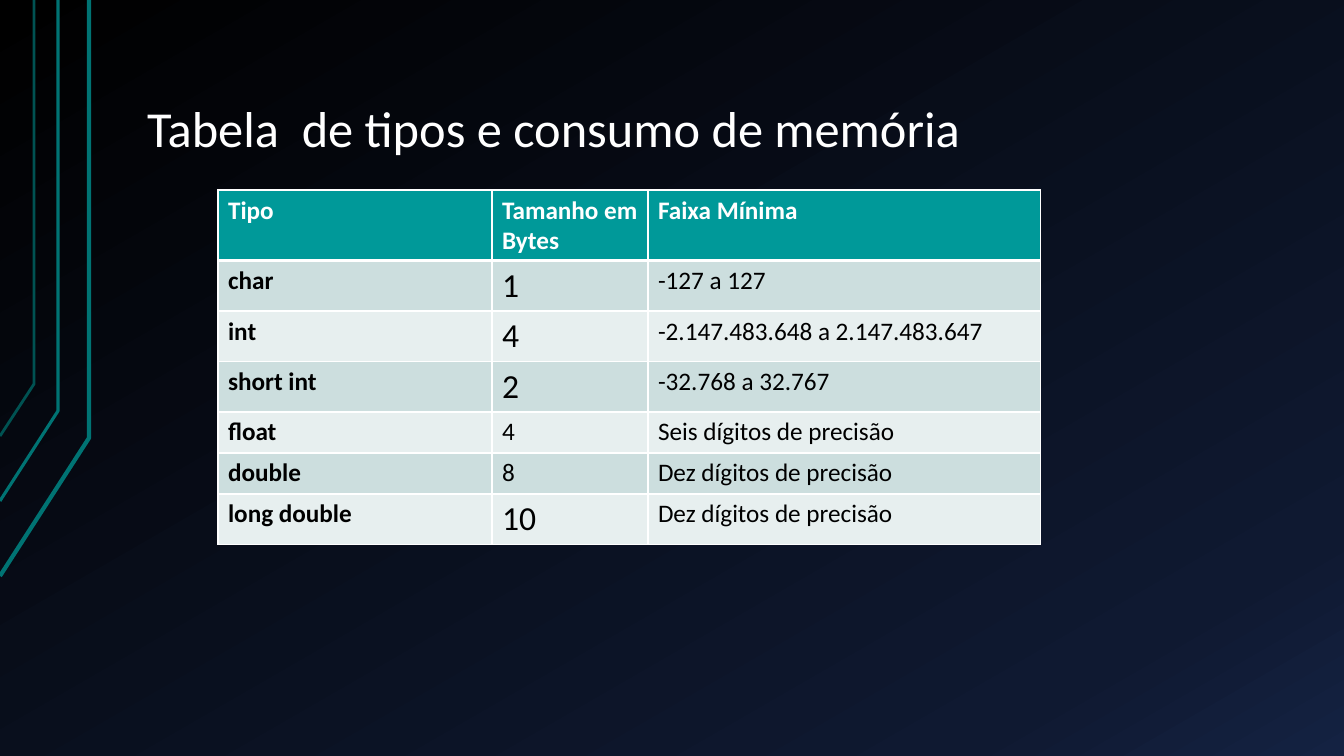
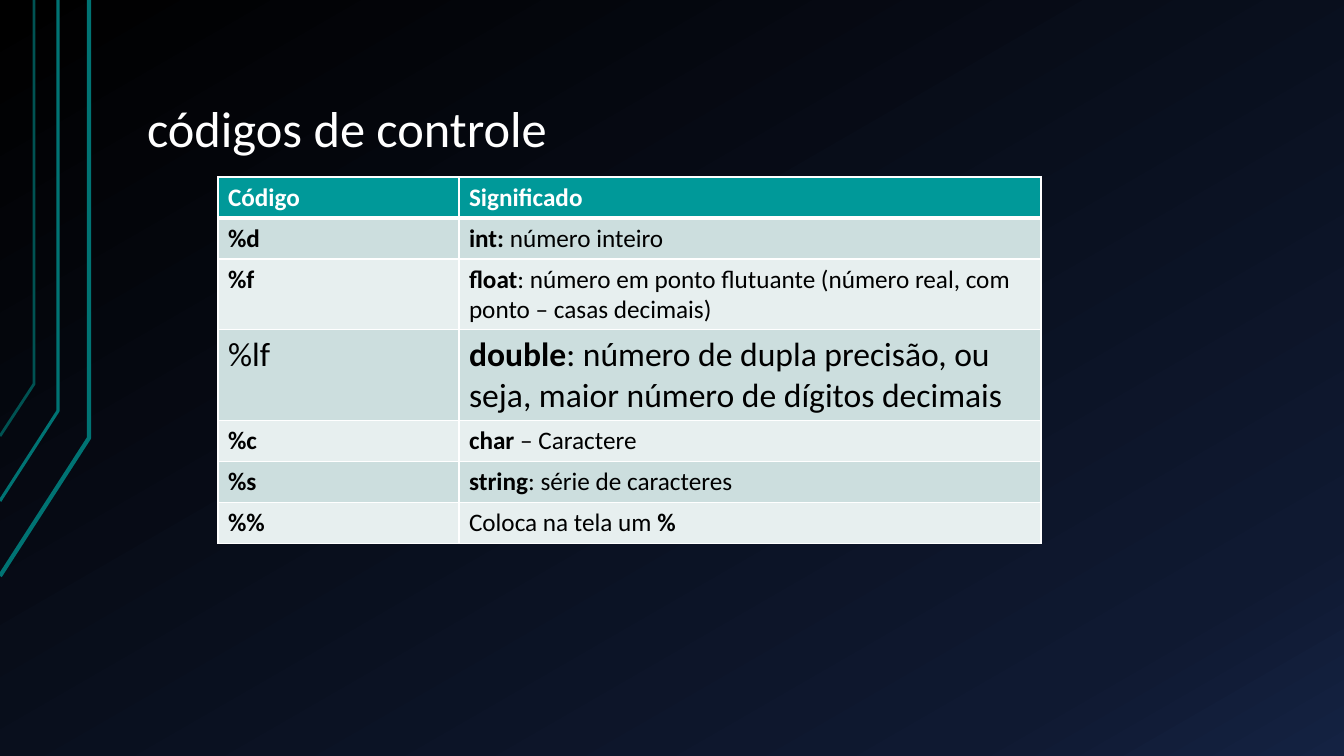
from lxml import etree
from pptx import Presentation
from pptx import util as u
from pptx.dml.color import RGBColor
from pptx.enum import text
from pptx.oxml import ns

SCALE = 12192000 / 1344
FONT = "Calibri"
WHITE, BLACK, TEAL = "FFFFFF", "000000", "009999"
BANDS = ("CCDEDE", "E7EFEF")
BACKGROUND = ((0, "000000"), (85, "0F1931"), (100, "142242"))
RAILS = (
    (89, 438, 576, 3, "007373"),
    (58, 411, 501, 2.25, "007373"),
    (34, 384, 436, 2, "005252"),
)


def px(length):
    return u.Emu(round(length * SCALE))


def color(value):
    return RGBColor.from_string(value)


def add_xml(parent, tag, **attributes):
    return etree.SubElement(parent, ns.qn(tag), attributes)


class Slides:
    def __init__(self):
        self.deck = Presentation()
        self.deck.slide_width, self.deck.slide_height = px(1344), px(756)
        self.page = None
        self.set_background()

    def set_background(self):
        master = self.deck.slide_master
        fill = master.background.fill
        fill.gradient()
        fill.gradient_angle = 300
        stops = master.element.find(".//" + ns.qn("a:gsLst"))
        for stop in list(stops):
            stops.remove(stop)
        for percent, value in BACKGROUND:
            stop = add_xml(stops, "a:gs", pos=str(percent * 1000))
            add_xml(stop, "a:srgbClr", val=value)

    def add_page(self, title):
        self.page = self.deck.slides.add_slide(self.deck.slide_layouts[6])
        for rail in RAILS:
            self.add_rail(*rail)
        self.add_title(title)

    def add_rail(self, x, bend, end, width, value):
        builder = self.page.shapes.build_freeform(px(0), px(end))
        builder.add_line_segments([(px(x), px(bend)), (px(x), px(0))], close=False)
        rail = builder.convert_to_shape()
        rail.shadow.inherit = False
        rail.fill.background()
        rail.line.color.rgb = color(value)
        rail.line.width = u.Pt(width)

    def add_title(self, title):
        box = self.page.shapes.add_textbox(px(134), px(30), px(1142), px(135))
        frame = box.text_frame
        frame.word_wrap = True
        frame.vertical_anchor = text.MSO_ANCHOR.BOTTOM
        frame.margin_left = frame.margin_right = px(13)
        frame.margin_top = frame.margin_bottom = px(7)
        para = frame.paragraphs[0]
        para.line_spacing = 0.9
        self.set_text(para, title, 36, WHITE)

    def set_text(self, para, content, size, value):
        font = para.font
        font.name, font.size = FONT, u.Pt(size)
        font.color.rgb = color(value)
        for index, part in enumerate(content.split("*")):
            if part:
                span = para.add_run()
                span.text = part
                span.font.bold = index % 2 == 1

    def add_borders(self, cell, top, bottom):
        properties = cell._tc.get_or_add_tcPr()
        for side, width in (("L", 1), ("R", 1), ("T", top), ("B", bottom)):
            line = add_xml(properties, "a:ln" + side, w=str(u.Pt(width)))
            add_xml(add_xml(line, "a:solidFill"), "a:srgbClr", val=WHITE)

    def add_table(self, top, widths, rows, large):
        frame = self.page.shapes.add_table(
            len(rows), len(widths), px(218), px(top), px(sum(widths)), px(41 * len(rows))
        )
        table = frame.table
        table.horz_banding = False
        for column, width in zip(table.columns, widths):
            column.width = px(width)
        for i, row in enumerate(rows):
            for j, content in enumerate(row):
                cell = table.cell(i, j)
                self.add_borders(cell, 3 if i == 1 else 1, 3 if i == 0 else 1)
                cell.fill.solid()
                cell.fill.fore_color.rgb = color(BANDS[(i - 1) % 2] if i else TEAL)
                size = 24 if (i, j) in large else 18
                self.set_text(cell.text_frame.paragraphs[0], content, size, BLACK if i else WHITE)


TYPES = (
    ("*Tipo*", "*Tamanho em Bytes*", "*Faixa Mínima*"),
    ("*char*", "1", "-127 a 127"),
    ("*int*", "4", "-2.147.483.648 a 2.147.483.647"),
    ("*short int*", "2", "-32.768 a 32.767"),
    ("*float*", "4", "Seis dígitos de precisão"),
    ("*double*", "8", "Dez dígitos de precisão"),
    ("*long double*", "10", "Dez dígitos de precisão"),
)
CODES = (
    ("*Código*", "*Significado*"),
    ("*%d*", "*int: *número inteiro"),
    ("*%f*", "*float*: número em ponto flutuante (número real, com ponto – casas decimais)"),
    ("%lf", "*double*: número de dupla precisão, ou seja, maior número de dígitos decimais"),
    ("*%c*", "*char* – Caractere"),
    ("*%s*", "*string*: série de caracteres"),
    ("*%%*", "Coloca na tela um *%*"),
)


def main():
    slides = Slides()
    slides.add_page("Tabela  de tipos e consumo de memória")
    slides.add_table(190, (274, 156, 393), TYPES, {(1, 1), (2, 1), (3, 1), (6, 1)})
    slides.add_page("códigos de controle")
    slides.add_table(177, (241, 582), CODES, {(3, 0), (3, 1)})
    slides.deck.save("out.pptx")


if __name__ == "__main__":
    main()
